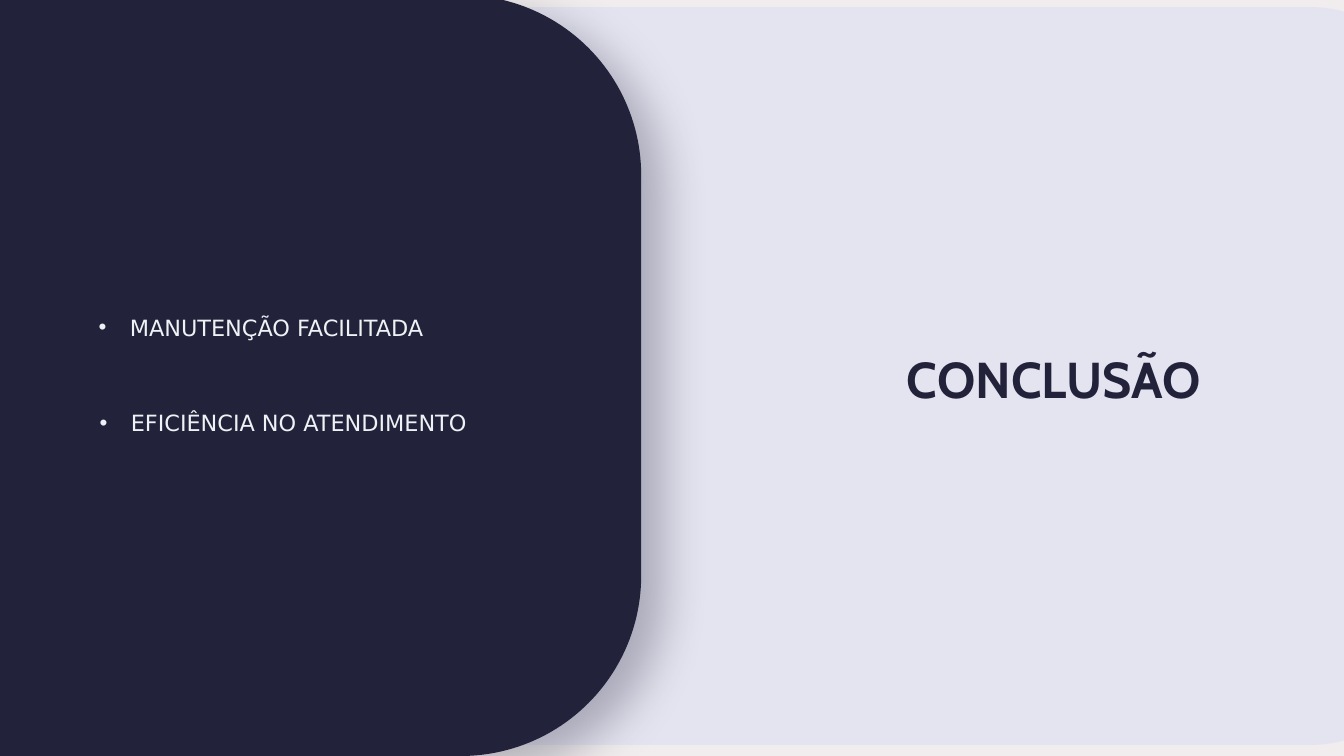
"""Builds the conclusion slide: a dark panel of benefits beside the title."""
from lxml.etree import SubElement
from pptx import Presentation
from pptx.dml.color import RGBColor
from pptx.enum.shapes import MSO_SHAPE as Preset
from pptx.enum.text import MSO_ANCHOR as Anchor, MSO_AUTO_SIZE as AutoSize, PP_ALIGN as Align
from pptx.oxml.ns import qn
from pptx.util import Inches, Pt

COLORS = {"backdrop": "E63946", "veil": "F2F2F2", "card": "E4E4F0",
          "ink": "22223B", "text": "EDF2F4"}


def add_block(preset, left, top, width, height, color):
    block = slide.shapes.add_shape(preset, Inches(left), Inches(top), Inches(width), Inches(height))
    block.shadow.inherit = False
    block.fill.solid()
    block.fill.fore_color.rgb = RGBColor.from_string(COLORS[color])
    block.line.fill.background()
    return block


def style_font(paragraph, name, size, color, bold=False):
    font = paragraph.font
    font.name, font.size, font.bold = name, Pt(size), bold
    font.color.rgb = RGBColor.from_string(COLORS[color])


prs = Presentation()
prs.slide_width, prs.slide_height = Inches(13.33), Inches(7.5)
slide = prs.slides.add_slide(prs.slide_layouts[5])
slide.background.fill.solid()
slide.background.fill.fore_color.rgb = RGBColor.from_string(COLORS["backdrop"])

for left, top in [(-0.54, -0.05), (-0.88, -0.07)]:
    veil = add_block(Preset.RECTANGLE, left, top, 14.74, 9.25, "veil")
    veil_color = veil.element.spPr.find(qn("a:solidFill"))[0]
    SubElement(veil_color, qn("a:alpha"), val="85000")

title_card = add_block(Preset.ROUND_2_SAME_RECTANGLE, 4.39, -2.44, 7.32, 12.34, "card")
title_card.rotation = 90

title = slide.shapes.title
title_card.element.addnext(title.element)
title.left, title.top, title.width, title.height = map(Inches, (8.86, 3.4, 3.19, 0.71))
title.text_frame.text = "CONCLUSÃO"
title.text_frame.word_wrap = True
title.text_frame.auto_size = AutoSize.SHAPE_TO_FIT_TEXT
title.text_frame.vertical_anchor = Anchor.TOP
heading = title.text_frame.paragraphs[0]
heading.alignment = Align.CENTER
style_font(heading, "Cabin", 36, "ink", bold=True)

benefits_panel = add_block(Preset.ROUNDED_RECTANGLE, -2.44, -0.05, 8.8, 7.55, "ink")
benefits_panel.adjustments[0] = 0.237
effects = benefits_panel.element.spPr.find(qn("a:effectLst"))
shadow = SubElement(effects, qn("a:outerShdw"), blurRad=str(Pt(32)), dist=str(Pt(21)),
                    dir=str(36 * 60000), algn="tl", rotWithShape="0")
shadow_color = SubElement(shadow, qn("a:srgbClr"), val=COLORS["ink"])
SubElement(shadow_color, qn("a:alpha"), val="30000")

benefits = [("EFICIÊNCIA NO ATENDIMENTO", 0.89, 3.94, 4.12),
            ("MANUTENÇÃO FACILITADA", 0.88, 2.99, 3.78)]
for benefit, left, top, width in benefits:
    frame = slide.shapes.add_textbox(Inches(left), Inches(top), Inches(width), Inches(0.51)).text_frame
    frame.word_wrap = True
    frame.vertical_anchor = Anchor.MIDDLE
    frame.text = benefit
    item = frame.paragraphs[0]
    indent = item._p.get_or_add_pPr()
    indent.set("marL", str(Inches(0.31)))
    indent.set("indent", str(Inches(-0.31)))
    SubElement(indent, qn("a:buFont"), typeface="Arial")
    SubElement(indent, qn("a:buChar"), char="•")
    style_font(item, "DejaVu Sans", 16, "text")

prs.save("out.pptx")
